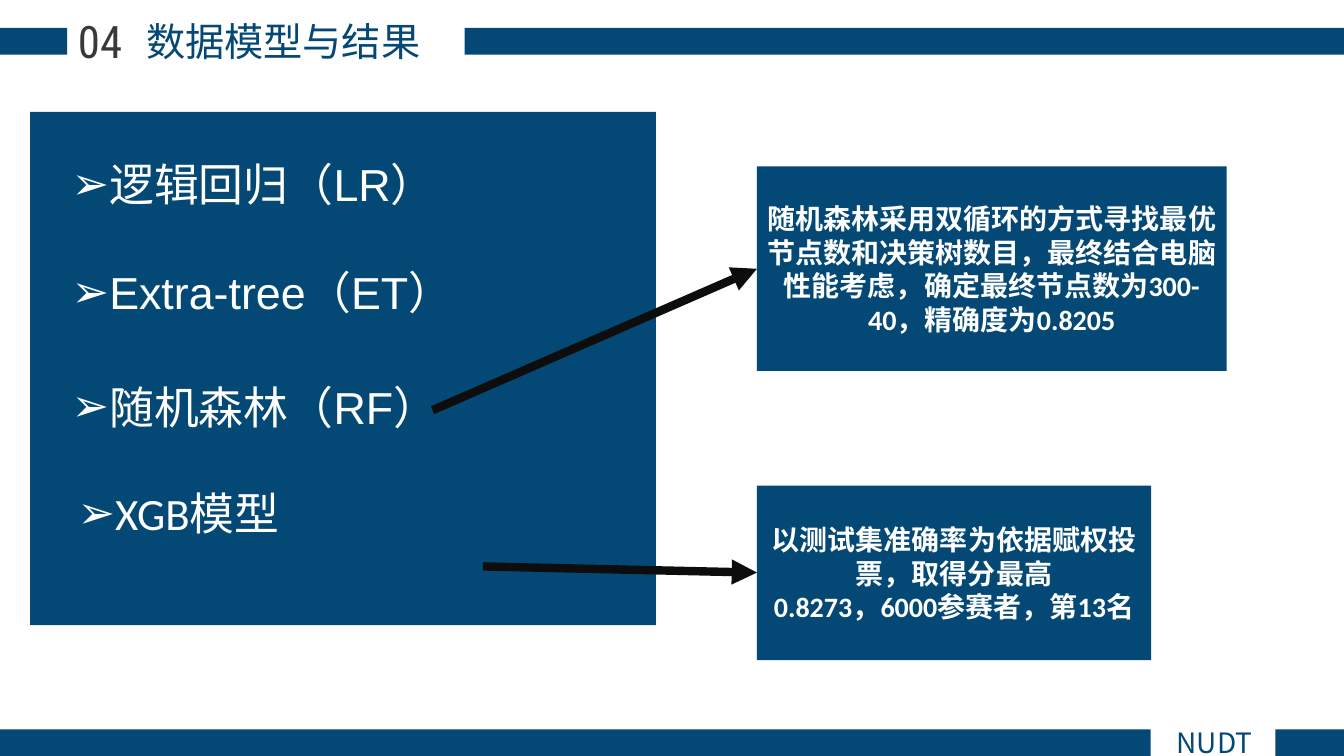
from pptx import Presentation
from pptx.dml.color import RGBColor
from pptx.enum import shapes as es, text as et
from pptx.oxml import ns, xmlchemy as xc
from pptx.util import Pt

HUES = {"blue": "044875", "white": "FFFFFF", "gray": "3B3838", "ink": "0D0D0D"}
CJK = "Noto Sans CJK SC"
MID = et.PP_ALIGN.CENTER


def hue(name):
    return RGBColor.from_string(HUES[name])


def write(frame, paras, size, color="white", font="Calibri", bold=False,
          align=MID, anchor=et.MSO_ANCHOR.TOP):
    frame.word_wrap = True
    frame.auto_size = et.MSO_AUTO_SIZE.NONE
    frame.vertical_anchor = anchor
    for i, runs in enumerate(paras):
        para = frame.paragraphs[0] if i == 0 else frame.add_paragraph()
        para.alignment = align
        for words, face in [(runs, font)] if isinstance(runs, str) else runs:
            run = para.add_run()
            run.text = words
            run.font.name = face
            run.font.size = Pt(size)
            run.font.bold = bold
            run.font.color.rgb = hue(color)
            east = xc.OxmlElement("a:ea")
            east.set("typeface", CJK)
            run.font._element.find(ns.qn("a:latin")).addnext(east)


deck = Presentation()
deck.slide_width, deck.slide_height = Pt(960), Pt(540)
slide = deck.slides.add_slide(deck.slide_layouts[1])
title, models = slide.placeholders

bars = [(0, 20, 48, 19), (332, 20, 628, 19), (0, 521, 822, 19), (911, 521, 49, 19)]
panel = (21.5, 80, 447, 366.5)
notes = [
    ((540.7, 118.8, 335.5, 146.2),
     ["随机森林采用双循环的方式寻找最优节点数和决策树数目，最终结合电脑性能考虑，"
      "确定最终节点数为300-40，精确度为0.8205"]),
    ((540.7, 347, 281.5, 124.6),
     ["以测试集准确率为依据赋权投票，取得分最高", "0.8273，6000参赛者，第13名"]),
]
for box, paras in [(b, []) for b in bars + [panel]] + notes:
    rect = slide.shapes.add_shape(es.MSO_SHAPE.RECTANGLE, *map(Pt, box))
    rect.shadow.inherit = False
    rect.fill.solid()
    rect.fill.fore_color.rgb = hue("blue")
    rect.line.fill.background()
    if paras:
        write(rect.text_frame, paras, 20, bold=True, anchor=et.MSO_ANCHOR.MIDDLE)

for box, words, size, color, font in [
    ((808.5, 515, 118, 31.5), "NUDT", 20, "blue", CJK),
    ((43, 6.5, 57, 46), "04", 32, "gray", "Roboto Condensed"),
]:
    label = slide.shapes.add_textbox(*map(Pt, box))
    write(label.text_frame, [words], size, color, font)

for holder, box in [(title, (72.7, 8.6, 259.3, 41)), (models, (44, 123.8, 424.5, 290))]:
    holder.left, holder.top, holder.width, holder.height = map(Pt, box)
    slide.shapes.element.append(holder.element)
write(title.text_frame, ["数据模型与结果"], 28, "blue", CJK)
write(models.text_frame, [
    [("逻辑回归（", "Calibri"), ("LR", "Arial"), ("）", "Calibri")],
    [("Extra-tree（ET）", "Arial")],
    [("随机森林（", "Calibri"), ("RF", "Arial"), ("）", "Calibri")],
    "XGB模型",
], 32, align=et.PP_ALIGN.LEFT)

for para, gap, left in zip(models.text_frame.paragraphs, (0, 54, 59, 53), (22.5, 22.5, 22.5, 26.8)):
    para.line_spacing = Pt(23)
    para.space_before = Pt(gap)
    para.space_after = Pt(0)
    props = para._p.get_or_add_pPr()
    props.set("marL", str(Pt(left)))
    props.set("indent", str(Pt(-22.5)))
    for tag, key, value in [("a:buFont", "typeface", "Arial"), ("a:buChar", "char", "➢")]:
        mark = xc.OxmlElement(tag)
        mark.set(key, value)
        props.append(mark)

for ends in [(345, 404.6, 540.7, 409), (309, 293, 540.7, 192)]:
    arrow = slide.shapes.add_connector(es.MSO_CONNECTOR.STRAIGHT, *map(Pt, ends))
    arrow.line.width = Pt(6)
    arrow.line.color.rgb = hue("ink")
    tip = xc.OxmlElement("a:tailEnd")
    tip.set("type", "triangle")
    arrow.line._get_or_add_ln().append(tip)
    arrow._element.spPr.append(xc.OxmlElement("a:effectLst"))

deck.save("out.pptx")
